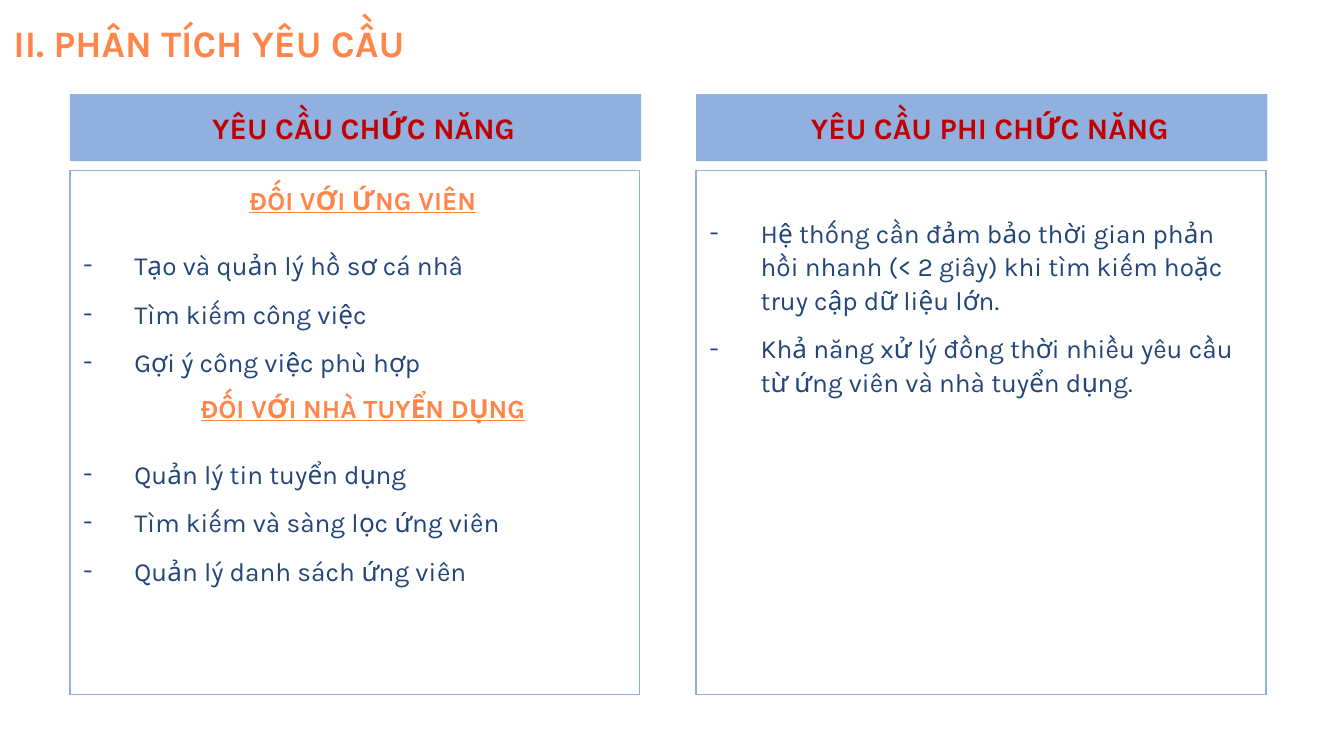
from dataclasses import dataclass

import pptx
import pptx.dml.color
import pptx.enum.text
import pptx.oxml
import pptx.oxml.ns
import pptx.util
from pptx.util import Inches

COLORS = {"orange": "FF854A", "blue": "90B1E0", "navy": "22467A", "red": "C00000"}
FONT = "Karla"
MARGIN = 0.1
HEADING_GAP = 17  # points, about one 14 pt line
ALIGN = pptx.enum.text.PP_ALIGN
ANCHOR = pptx.enum.text.MSO_ANCHOR


@dataclass
class Section:
    items: list[str]
    heading: str = ""


@dataclass
class Column:
    left: float
    header_index: int
    list_index: int
    header: str
    sections: list[Section]
    top_margin: float = MARGIN


COLUMNS = [
    Column(0.52, 1, 2, "YÊU CẦU CHỨC NĂNG", [
        Section(["Tạo và quản lý hồ sơ cá nhâ", "Tìm kiếm công việc",
                 "Gợi ý công việc phù hợp"], "ĐỐI VỚI ỨNG VIÊN"),
        Section(["Quản lý tin tuyển dụng", "Tìm kiếm và sàng lọc ứng viên",
                 "Quản lý danh sách ứng viên"], "ĐỐI VỚI NHÀ TUYỂN DỤNG"),
    ]),
    Column(5.18, 3, 4, "YÊU CẦU PHI CHỨC NĂNG", [
        Section(["Hệ thống cần đảm bảo thời gian phản hồi nhanh (< 2 giây) khi tìm kiếm "
                 "hoặc truy cập dữ liệu lớn.",
                 "Khả năng xử lý đồng thời nhiều yêu cầu từ ứng viên và nhà tuyển dụng."]),
    ], top_margin=0.33),
]


def rgb(name: str) -> pptx.dml.color.RGBColor:
    return pptx.dml.color.RGBColor.from_string(COLORS[name])


def prepare(shape, left: float, top: float, width: float, height: float,
            anchor, top_margin: float = MARGIN) -> None:
    """Place a placeholder and set up its text frame."""
    shape.left, shape.top = Inches(left), Inches(top)
    shape.width, shape.height = Inches(width), Inches(height)
    frame = shape.text_frame
    frame.word_wrap = True
    frame.auto_size = pptx.enum.text.MSO_AUTO_SIZE.NONE
    frame.vertical_anchor = anchor
    frame.margin_left = frame.margin_right = frame.margin_bottom = Inches(MARGIN)
    frame.margin_top = Inches(top_margin)


def write(paragraph, text: str, size: float, color: str, bold: bool = False,
          underline: bool = False, align=ALIGN.LEFT, indent: tuple = (0, 0),
          line_spacing: float = 1.0, space_after: float = 0, bullet: str = "") -> None:
    """Format a paragraph and add its run."""
    paragraph.alignment = align
    paragraph.line_spacing = line_spacing
    paragraph.space_before = pptx.util.Pt(0)
    paragraph.space_after = pptx.util.Pt(space_after)
    run = paragraph.add_run()
    run.text = text
    font = run.font
    font.name, font.size = FONT, pptx.util.Pt(size)
    font.bold, font.underline = bold, underline
    font.color.rgb = rgb(color)

    # Indents and bullet
    properties = paragraph._p.get_or_add_pPr()
    properties.set("marL", str(Inches(indent[0])))
    properties.set("indent", str(Inches(indent[1])))
    marks = ["<a:buNone {ns}/>"]
    if bullet:
        marks = [f'<a:buClr {{ns}}><a:srgbClr val="{COLORS[color]}"/></a:buClr>',
                 f'<a:buFont {{ns}} typeface="{FONT}"/>',
                 f'<a:buChar {{ns}} char="{bullet}"/>']
    for mark in marks:
        properties.append(pptx.oxml.parse_xml(mark.format(ns=pptx.oxml.ns.nsdecls("a"))))


def draw_column(slide, column: Column) -> None:
    # Header band
    header = slide.placeholders[column.header_index]
    prepare(header, column.left, 0.7, 4.25, 0.5, ANCHOR.MIDDLE)
    header.fill.solid()
    header.fill.fore_color.rgb = rgb("blue")
    write(header.text_frame.paragraphs[0], column.header, 16, "red", bold=True,
          align=ALIGN.CENTER, indent=(0.5, -0.38))

    # Outlined list
    body = slide.placeholders[column.list_index]
    prepare(body, column.left, 1.27, 4.24, 3.9, ANCHOR.TOP, column.top_margin)
    body.line.color.rgb = rgb("blue")
    body.line.width = pptx.util.Pt(0.75)
    frame = body.text_frame

    def next_paragraph():
        first = frame.paragraphs[0]
        return frame.add_paragraph() if first.runs else first

    for section in column.sections:
        if section.heading:
            write(next_paragraph(), section.heading, 14, "orange", bold=True, underline=True,
                  align=ALIGN.CENTER, indent=(0.12, 0), space_after=HEADING_GAP)
        for item in section.items:
            write(next_paragraph(), item, 14, "navy", indent=(0.38, -0.38),
                  line_spacing=1.07, space_after=8, bullet="-")


def main() -> None:
    presentation = pptx.Presentation()
    # Widescreen, 16 to 9
    presentation.slide_width = Inches(10)
    presentation.slide_height = presentation.slide_width * 9 // 16
    # Comparison layout: a title and two headed lists
    slide = presentation.slides.add_slide(presentation.slide_layouts[4])

    title = slide.shapes.title
    prepare(title, 0, 0, 8.44, 0.63, ANCHOR.MIDDLE)
    write(title.text_frame.paragraphs[0], "II. PHÂN TÍCH YÊU CẦU", 20, "orange", bold=True)

    for column in COLUMNS:
        draw_column(slide, column)
    presentation.save("out.pptx")


if __name__ == "__main__":
    main()
